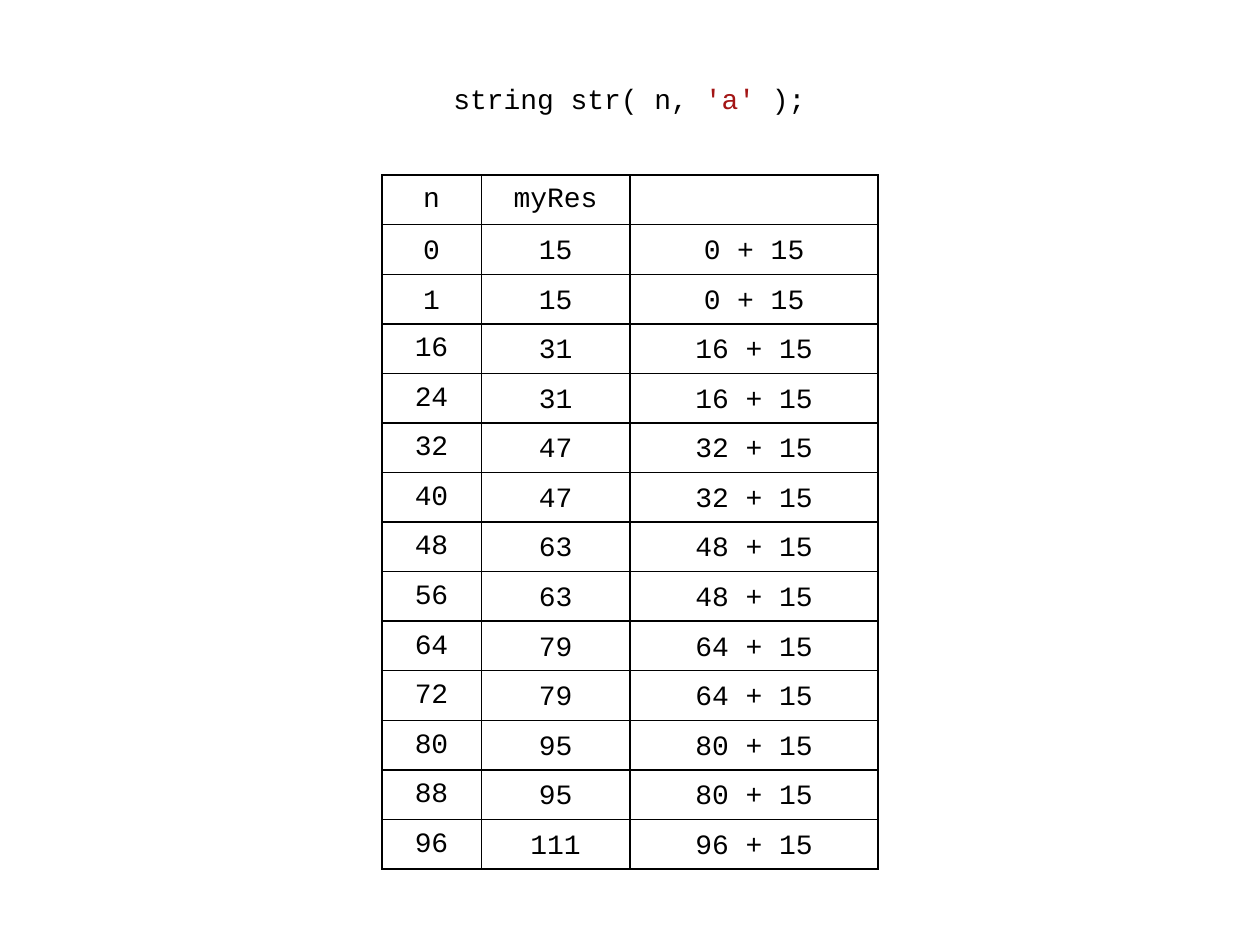
"""Build a slide with a table of string sizes and reserved capacities."""
from lxml import etree
from pptx import Presentation
from pptx import util as u
from pptx.dml.color import RGBColor
from pptx.enum import text
from pptx.oxml import ns

HUES = {"ink": "000000", "quote": "A31515"}
FONT, SIZE = "Courier New", 16
CODE = [("string str( n, ", "ink"), ("'a' ", "quote"), (");", "ink")]
HEAD = ("n", "myRes", "")
DATA = [
    (0, 15, "0 + 15"),
    (1, 15, "0 + 15"),
    (16, 31, "16 + 15"),
    (24, 31, "16 + 15"),
    (32, 47, "32 + 15"),
    (40, 47, "32 + 15"),
    (48, 63, "48 + 15"),
    (56, 63, "48 + 15"),
    (64, 79, "64 + 15"),
    (72, 79, "64 + 15"),
    (80, 95, "80 + 15"),
    (88, 95, "80 + 15"),
    (96, 111, "96 + 15"),
]
COLS = (0.79, 1.18, 1.97)
LEFT, TOP, HIGH = 3.03, 1.39, 5.51
MID, LOW = text.MSO_ANCHOR.MIDDLE, text.MSO_ANCHOR.BOTTOM


def style(para):
    para.alignment = text.PP_ALIGN.CENTER
    para.font.name = FONT
    para.font.size = u.Pt(SIZE)


def paint(font, hue):
    font.color.rgb = RGBColor.from_string(HUES[hue])


def frame(cell):
    props = cell._tc.get_or_add_tcPr()
    for i, side in enumerate(("lnL", "lnR", "lnT", "lnB")):
        line = etree.Element(ns.qn(f"a:{side}"), w=str(u.Pt(1)))
        fill = etree.SubElement(line, ns.qn("a:solidFill"))
        etree.SubElement(fill, ns.qn("a:srgbClr"), val=HUES["ink"])
        props.insert(i, line)


def add_code(slide):
    box = slide.shapes.add_textbox(*map(u.Inches, (3.42, 0.6, 3.15, 0.39)))
    box.text_frame.word_wrap = True
    para = box.text_frame.paragraphs[0]
    style(para)
    for part, hue in CODE:
        run = para.add_run()
        run.text = part
        paint(run.font, hue)


def add_grid(slide):
    rows = [HEAD, *DATA]
    area = map(u.Inches, (LEFT, TOP, sum(COLS), HIGH))
    grid = slide.shapes.add_table(len(rows), len(COLS), *area).table
    grid.first_row = grid.horz_banding = False
    for col, wide in zip(grid.columns, COLS):
        col.width = u.Inches(wide)
    for r, row in enumerate(rows):
        grid.rows[r].height = u.Inches(HIGH / len(rows))
        for c, value in enumerate(row):
            cell = grid.cell(r, c)
            cell.text = str(value)
            tight = c == 0 and r > 2
            cell.vertical_anchor = MID if r == 0 or tight else LOW
            if tight:
                cell.margin_left = cell.margin_right = u.Inches(0.01)
                cell.margin_top, cell.margin_bottom = u.Inches(0.01), 0
            cell.fill.background()
            frame(cell)
            para = cell.text_frame.paragraphs[0]
            style(para)
            paint(para.font, "ink")


def main():
    deck = Presentation()
    deck.slide_width, deck.slide_height = u.Inches(10), u.Inches(7.5)
    slide = deck.slides.add_slide(deck.slide_layouts[6])
    add_code(slide)
    add_grid(slide)
    deck.save("out.pptx")


if __name__ == "__main__":
    main()
